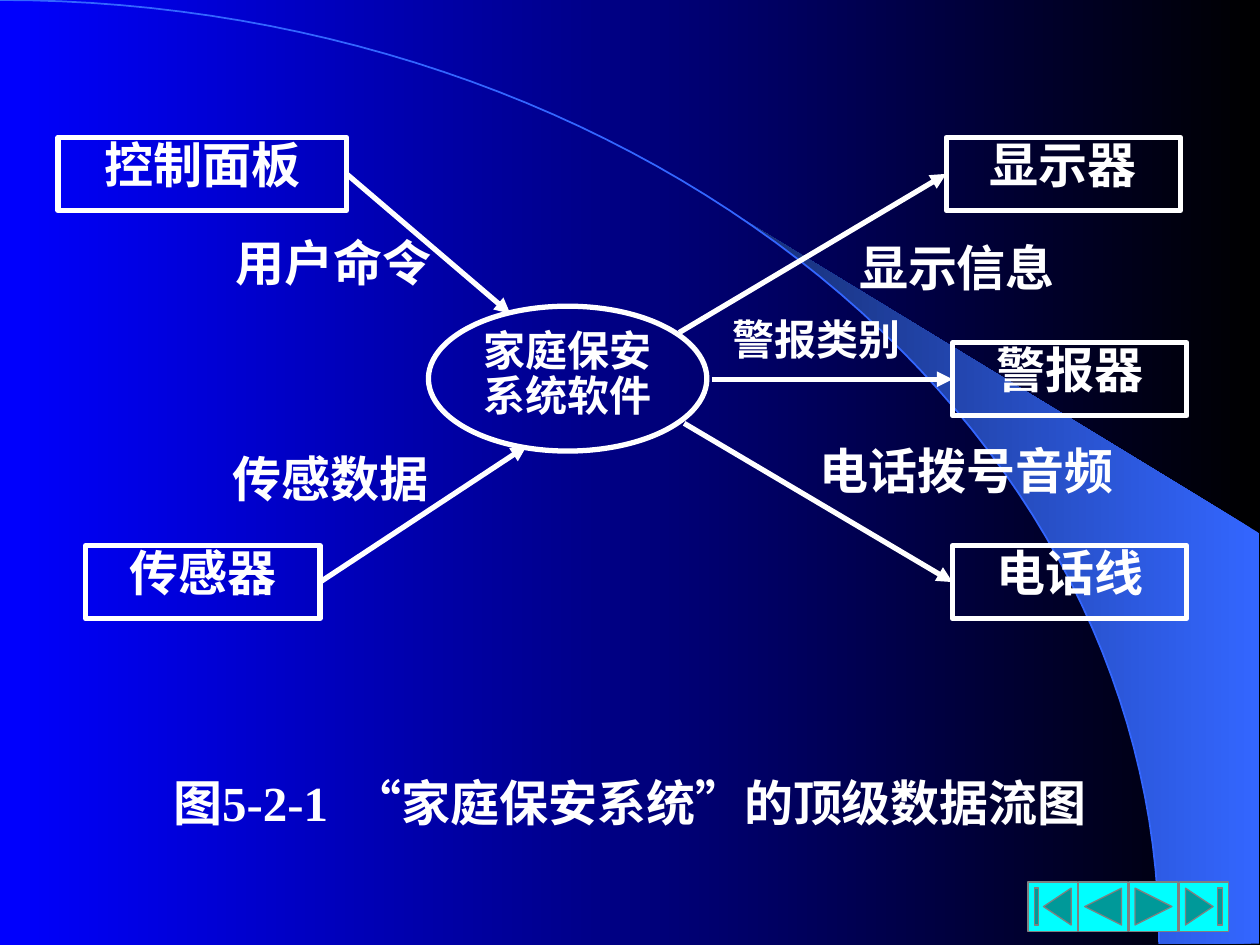
import math
from dataclasses import dataclass

from lxml import etree
from pptx import Presentation
from pptx.dml.color import RGBColor
from pptx.enum.lang import MSO_LANGUAGE_ID
from pptx.enum.shapes import MSO_CONNECTOR, MSO_SHAPE
from pptx.enum.text import MSO_ANCHOR, PP_ALIGN
from pptx.oxml.ns import qn
from pptx.util import Inches, Pt

COLORS = {"text": "FFFFFF", "dark": "000000", "blue": "0000FF", "arc": "3366FF",
          "shade": "172F75", "button": "00FFFF", "edge": "808080"}
FONT = "Times New Roman"
CHINESE = MSO_LANGUAGE_ID.SIMPLIFIED_CHINESE
CENTER, MIDDLE, TOP = PP_ALIGN.CENTER, MSO_ANCHOR.MIDDLE, MSO_ANCHOR.TOP
RECTANGLE, OVAL, STRAIGHT = MSO_SHAPE.RECTANGLE, MSO_SHAPE.OVAL, MSO_CONNECTOR.STRAIGHT
BUTTONS = (MSO_SHAPE.ACTION_BUTTON_BEGINNING, MSO_SHAPE.ACTION_BUTTON_BACK_OR_PREVIOUS,
           MSO_SHAPE.ACTION_BUTTON_FORWARD_OR_NEXT, MSO_SHAPE.ACTION_BUTTON_END)
LEFT_SIDE, RIGHT_SIDE = 1, 3
COLUMNS, ROWS, CELL = 100, 75, Inches(0.1)
ENTITY_HEIGHT = 5.8

# name, column, row, width, joined side, end of the flow at the system
ENTITIES = (
    ("控制面板", 0, 0, 22.9, RIGHT_SIDE, (35.9, 14)),
    ("显示器", 70.5, 0, 18.6, LEFT_SIDE, (49.3, 15.5)),
    ("警报器", 71, 16.3, 18.6, LEFT_SIDE, (51.9, 19.2)),
    ("电话线", 71, 32.4, 18.6, LEFT_SIDE, (49.7, 22.7)),
    ("传感器", 2.2, 32.4, 18.6, RIGHT_SIDE, (37.2, 24.5)),
)
FLOW_LABELS = (
    ("用户命令", (10.4, 7.4, 22.9, 5.4), 28, 0.05),
    ("显示信息", (60.1, 7.7, 22.5, 5.6), 28, 0.05),
    ("传感数据", (10.4, 24.5, 22.5, 5.5), 28, 0.05),
    ("电话拨号音频", (58.8, 24.1, 26.6, 5.1), 28, 0.05),
    ("警报类别", (50.9, 13.3, 18.6, 5.4), 24, 0),
)


@dataclass
class Box:
    """A region of the slide, measured in grid columns and rows."""
    left: float
    top: float
    width: float
    height: float

    def point(self, column, row):
        """Return the slide position of a grid point inside the box."""
        return round((self.left + column) * CELL), round((self.top + row) * CELL)

    def area(self, column, row, width, height):
        """Return the slide position and size of an area inside the box."""
        return (*self.point(column, row), round(width * CELL), round(height * CELL))


def color(name):
    """Return a named colour."""
    return RGBColor.from_string(COLORS[name])


def set_line(shape, name, width):
    """Give an outline its colour and width."""
    shape.line.color.rgb = color(name)
    shape.line.width = Pt(width)


def set_gradient(fill, start, end):
    """Fill with a gradient running from right to left."""
    fill.gradient()
    fill.gradient_angle = 180
    for stop, name, position in zip(fill.gradient_stops, (start, end), (0, 1)):
        stop.color.rgb = color(name)
        stop.position = position


def write_text(shape, text, size=28, spacing=1.0, anchor=MIDDLE, side=0, top=0, bottom=0.05):
    """Write centred bold text, one paragraph for each line."""
    frame = shape.text_frame
    frame.word_wrap = True
    frame.vertical_anchor = anchor
    frame.margin_left = frame.margin_right = Inches(side)
    frame.margin_top, frame.margin_bottom = Inches(top), Inches(bottom)
    for number, line in enumerate(text.split("\n")):
        para = frame.add_paragraph() if number else frame.paragraphs[0]
        para.alignment, para.line_spacing, para.space_before = CENTER, spacing, Pt(0)
        span = para.add_run()
        span.text = line
        font = span.font
        font.name, font.size, font.bold = FONT, Pt(size), True
        font.color.rgb = color("text")
        font.language_id = CHINESE


def add_outlined(page, kind, area):
    """Add an unfilled shape with a white outline."""
    shape = page.shapes.add_shape(kind, *area)
    shape.shadow.inherit = False
    shape.fill.background()
    set_line(shape, "text", 3)
    return shape


def add_outline(page, points, close):
    """Add a freeform through the given slide positions."""
    builder = page.shapes.build_freeform(*points[0])
    builder.add_line_segments(points[1:], close=close)
    shape = builder.convert_to_shape()
    shape.shadow.inherit = False
    return shape


def add_backdrop(page, box):
    """Draw the gradient, the wedge of light and the arc."""
    set_gradient(page.background.fill, "dark", "blue")
    width, height, right = 0.92 * box.width, box.height - 0.1, box.width - 0.1

    def curve(first, steps=60):
        """Return points of the quarter ellipse from an angle onwards."""
        angles = [first + (math.pi / 2 - first) * step / steps for step in range(steps + 1)]
        return [box.point(width * math.sin(angle), height * (1 - math.cos(angle)))
                for angle in angles]

    corners = [box.point(right, height), box.point(right, 42.3)]
    wedge = add_outline(page, curve(math.asin(0.64)) + corners, True)
    set_gradient(wedge.fill, "arc", "shade")
    wedge.line.fill.background()
    arc = add_outline(page, curve(0), False)
    arc.fill.background()
    set_line(arc, "arc", 1)


def add_caption(page, box):
    """Place the figure caption in the body placeholder."""
    body = page.placeholders[1]
    body.left, body.top, body.width, body.height = box.area(0, 0, box.width, box.height)
    write_text(body, "图5‑2‑1  “家庭保安系统”的顶级数据流图",
               anchor=TOP, side=0.1, top=0.05)
    properties = body.text_frame.paragraphs[0]._p.get_or_add_pPr()
    properties.set("marL", "0")
    properties.set("indent", "0")
    etree.SubElement(properties, qn("a:buNone"))


def add_flow(page, entity, side, port):
    """Draw an arrow between an entity and the system."""
    arrow = page.shapes.add_connector(STRAIGHT, *port, *port)
    if side == RIGHT_SIDE:
        arrow.begin_connect(entity, side)
    else:
        arrow.end_connect(entity, side)
    set_line(arrow, "text", 3)
    etree.SubElement(arrow.line._get_or_add_ln(), qn("a:tailEnd"), type="triangle")
    etree.SubElement(arrow._element.spPr, qn("a:effectLst"))


def add_diagram(page, box):
    """Draw the system, its entities and the labelled flows."""
    system = add_outlined(page, OVAL, box.area(29.4, 13.4, 22.1, 11.5))
    write_text(system, "家庭保安\n系统软件", size=24, spacing=0.9)
    for name, column, row, width, side, port in ENTITIES:
        entity = add_outlined(page, RECTANGLE, box.area(column, row, width, ENTITY_HEIGHT))
        write_text(entity, name, spacing=0.72)
        add_flow(page, entity, side, box.point(*port))
    for text, area, size, bottom in FLOW_LABELS:
        label = page.shapes.add_textbox(*box.area(*area))
        write_text(label, text, size=size, bottom=bottom)


def add_navigation(page, box):
    """Place the row of navigation buttons."""
    pitch = (box.width - box.height) / (len(BUTTONS) - 1)
    for number, kind in enumerate(BUTTONS):
        area = box.area(number * pitch, 0, box.height, box.height)
        button = page.shapes.add_shape(kind, *area)
        button.shadow.inherit = False
        button.fill.solid()
        button.fill.fore_color.rgb = color("button")
        set_line(button, "edge", 0.75)


def main():
    """Build the slide and save it."""
    deck = Presentation()
    deck.slide_width, deck.slide_height = COLUMNS * CELL, ROWS * CELL
    page = deck.slides.add_slide(deck.slide_layouts[1])
    title = page.shapes.title._element
    title.getparent().remove(title)
    add_backdrop(page, Box(0, 0, COLUMNS, ROWS))
    add_caption(page, Box(7.5, 60.8, 85, 5.8))
    add_navigation(page, Box(81.6, 70, 15.9, 3.9))
    add_diagram(page, Box(4.6, 10.9, 89.6, 38.2))
    deck.save("out.pptx")


if __name__ == "__main__":
    main()
